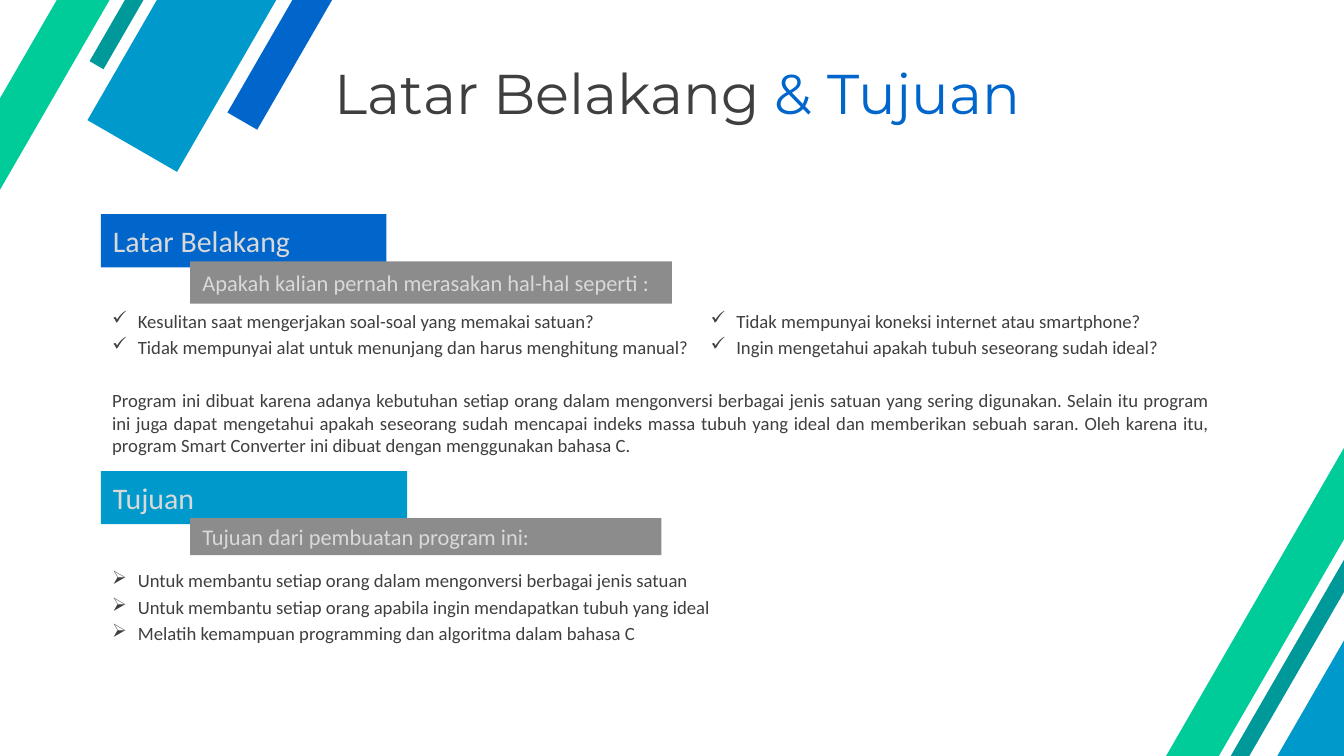
from lxml import etree
from pptx import Presentation
from pptx import util as u
from pptx.dml.color import RGBColor
from pptx.enum import shapes, text
from pptx.oxml.ns import qn

BLUE = RGBColor(0x00, 0x66, 0xCC)
SKY = RGBColor(0x00, 0x99, 0xCC)
TEAL = RGBColor(0x00, 0x99, 0x99)
GREEN = RGBColor(0x00, 0xCC, 0x99)
GREY = RGBColor(0x8C, 0x8C, 0x8C)
LIGHT = RGBColor(0xD9, 0xD9, 0xD9)
DARK = RGBColor(0x3F, 0x3F, 0x3F)


class Deck:
    body_font = "Calibri"
    title_font = "Montserrat"
    body_size = 20
    indent = u.Cm(0.97)

    def __init__(self, width, height):
        self.prs = Presentation()
        self.prs.slide_width, self.prs.slide_height = u.Cm(width), u.Cm(height)
        self.slide = self.prs.slides.add_slide(self.prs.slide_layouts[6])

    def rectangle(self, box, color, rotation=0):
        rect = self.slide.shapes.add_shape(
            shapes.MSO_SHAPE.RECTANGLE, *map(u.Cm, box))
        rect.fill.solid()
        rect.fill.fore_color.rgb = color
        rect.line.fill.background()
        rect.shadow.inherit = False
        rect.rotation = rotation
        return rect

    def frame(self, shape, anchor):
        frame = shape.text_frame
        frame.word_wrap = True
        frame.vertical_anchor = anchor
        frame.margin_left = frame.margin_right = u.Cm(0.46)
        frame.margin_top = frame.margin_bottom = u.Cm(0.23)
        return frame

    def textbox(self, box, anchor=text.MSO_ANCHOR.TOP):
        return self.frame(self.slide.shapes.add_textbox(*map(u.Cm, box)), anchor)

    def style(self, run, size, color, font=body_font):
        run.font.size = u.Pt(size)
        run.font.name = font
        run.font.color.rgb = color

    def title(self, box, parts):
        heading = self.textbox(box, text.MSO_ANCHOR.MIDDLE).paragraphs[0]
        for words, color in parts:
            run = heading.add_run()
            run.text = words
            self.style(run, 60, color, self.title_font)

    def label(self, box, words, size, color):
        frame = self.frame(self.rectangle(box, color), text.MSO_ANCHOR.MIDDLE)
        frame.text = words
        frame.paragraphs[0].alignment = text.PP_ALIGN.LEFT
        self.style(frame.paragraphs[0].runs[0], size, LIGHT)

    def section(self, top, heading, color, width, lead, lead_width, lead_height):
        self.label((3.81, top, width, 2.01), heading, 32, color)
        self.label((7.19, top + 1.78, lead_width, lead_height), lead, 24, GREY)

    def paragraph(self, box, words):
        frame = self.textbox(box)
        frame.text = words
        frame.paragraphs[0].alignment = text.PP_ALIGN.JUSTIFY
        self.style(frame.paragraphs[0].runs[0], self.body_size, DARK)

    def bullets(self, box, mark, items):
        frame = self.textbox(box)
        frame.text = "\n".join(items)
        for i, item in enumerate(frame.paragraphs):
            item.space_before = u.Pt(4 if i else 0)
            self.style(item.runs[0], self.body_size, DARK)
            props = item._p.get_or_add_pPr()
            props.set("marL", str(self.indent))
            props.set("indent", str(-self.indent))
            etree.SubElement(props, qn("a:buChar")).set("char", mark)


def main():
    deck = Deck(50.8, 28.58)

    bands = [
        (-3.61, -18.19, 51.08, 1.3, BLUE),
        (-7.75, -18.52, 51, 3.91, SKY),
        (-9.12, -19.96, 51.08, 0.61, TEAL),
        (-14.81, -13.89, 50.95, 1.73, GREEN),
        (34.75, 9.8, 51, 3.91, SKY),
        (32.77, 8.46, 51.08, 0.61, TEAL),
        (27.2, 14.55, 50.95, 1.73, GREEN),
    ]
    for *box, color in bands:
        deck.rectangle(box, color, rotation=300)

    deck.title((12.19, 2.13, 38, 2.74),
               [("Latar Belakang ", DARK), ("& Tujuan", BLUE)])

    deck.section(8.1, "Latar Belakang", BLUE, 10.8,
                 "Apakah kalian pernah merasakan hal-hal seperti :", 18.21, 1.6)
    deck.bullets((3.78, 11.48, 23, 2.5), "✓", [
        "Kesulitan saat mengerjakan soal-soal yang memakai satuan?",
        "Tidak mempunyai alat untuk menunjang dan harus menghitung manual?",
    ])
    deck.bullets((26.4, 11.48, 19.77, 2.5), "✓", [
        "Tidak mempunyai koneksi internet atau smartphone?",
        "Ingin mengetahui apakah tubuh seseorang sudah ideal?",
    ])
    deck.paragraph(
        (3.78, 14.48, 42.39, 3.1),
        "Program ini dibuat karena adanya kebutuhan setiap orang dalam "
        "mengonversi berbagai jenis satuan yang sering digunakan. Selain itu "
        "program ini juga dapat mengetahui apakah seseorang sudah mencapai "
        "indeks massa tubuh yang ideal dan memberikan sebuah saran. Oleh "
        "karena itu, program Smart Converter ini dibuat dengan menggunakan "
        "bahasa C.")

    deck.section(17.81, "Tujuan", SKY, 11.58,
                 "Tujuan dari pembuatan program ini:", 17.81, 1.4)
    deck.bullets((3.78, 21.29, 42.39, 4.19), "➢", [
        "Untuk membantu setiap orang dalam mengonversi berbagai jenis satuan",
        "Untuk membantu setiap orang apabila ingin mendapatkan tubuh yang ideal",
        "Melatih kemampuan programming dan algoritma dalam bahasa C",
    ])

    deck.prs.save("out.pptx")


if __name__ == "__main__":
    main()
